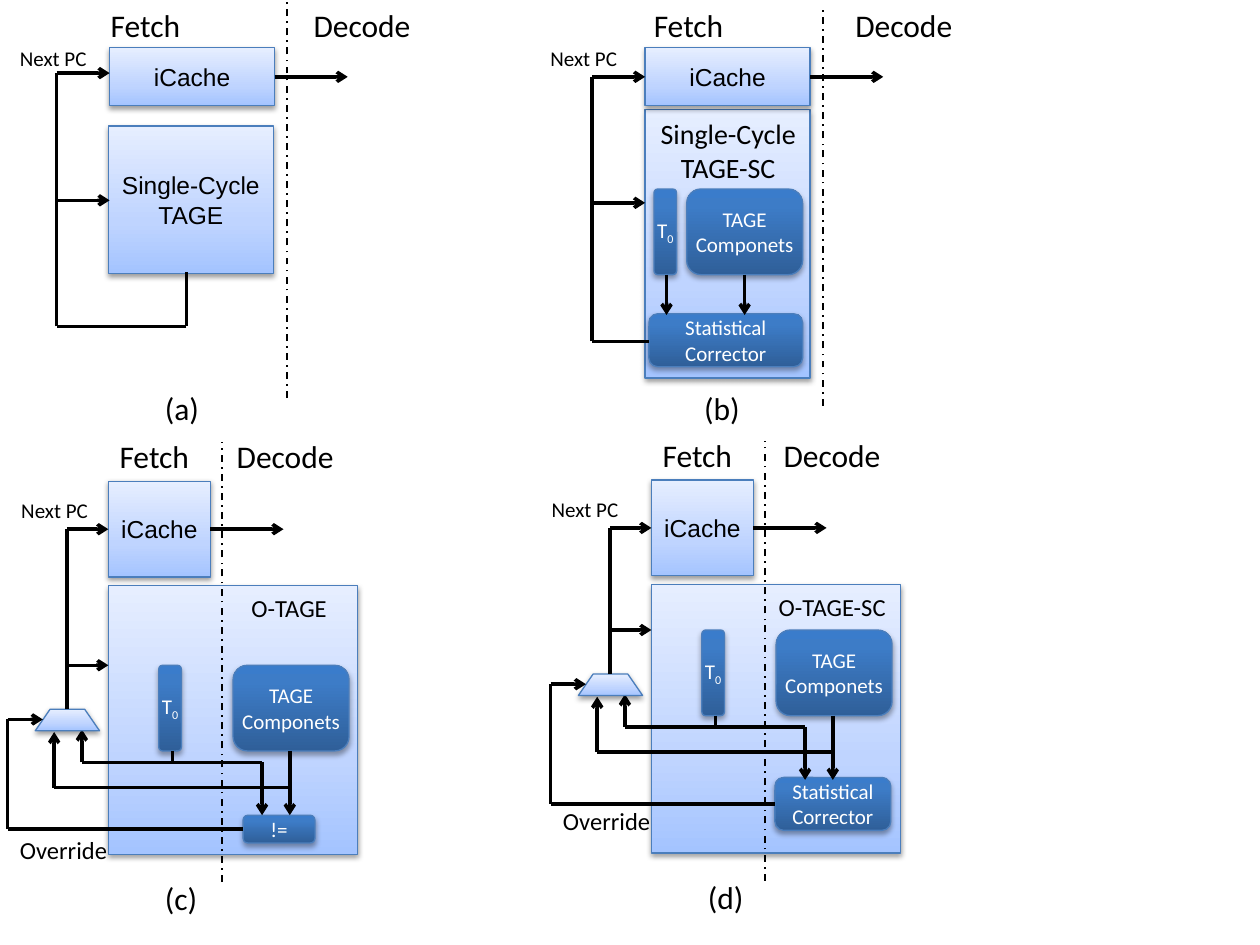
from itertools import pairwise

from lxml import etree
from pptx import Presentation
from pptx import util as u
from pptx.dml.color import RGBColor
from pptx.enum import dml, shapes, text
from pptx.oxml import parse_xml
from pptx.oxml.ns import nsdecls, qn

PALE = {"stops": [(0, "A4C4FF"), (35, "BFD4FF"), (100, "E6EEFF")], "alpha": 38, "drop": 1.6}
DEEP = {"stops": [(0, "2F5F99"), (80, "3D7CC7"), (100, "3A7CCB")], "alpha": 35, "drop": 1.8}
RECT, ROUND, TRAPEZOID = (
    shapes.MSO_SHAPE.RECTANGLE,
    shapes.MSO_SHAPE.ROUNDED_RECTANGLE,
    shapes.MSO_SHAPE.TRAPEZOID,
)

deck = Presentation()
deck.slide_width, deck.slide_height = u.Inches(10), u.Inches(7.5)
slide = deck.slides.add_slide(deck.slide_layouts[6])


def paint(color_format, value):
    color_format.rgb = RGBColor.from_string(value)


def apply(target, values):
    for name, value in values.items():
        setattr(target, name, value)


def inches(*lengths):
    return [u.Inches(round(length, 2)) for length in lengths]


def write(frame, words, size, font="Calibri", color="000000", align=None, sub=None):
    paragraph = frame.paragraphs[0]
    if align:
        paragraph.alignment = align
    for part in filter(None, (words, sub)):
        run = paragraph.add_run()
        run.text = part
        apply(run.font, {"size": u.Pt(size), "name": font})
        paint(run.font.color, color)
        if part == sub:
            run._r.get_or_add_rPr().set("baseline", "-25000")


def label(x, y, w, h, words, size=18, align=None):
    frame = slide.shapes.add_textbox(*inches(x, y, w, h)).text_frame
    apply(frame, {"word_wrap": True, "auto_size": text.MSO_AUTO_SIZE.SHAPE_TO_FIT_TEXT})
    write(frame, words, size, align=align)


def block(x, y, w, h, look=PALE, kind=RECT, words=None, size=14, font="Arial", tight=False, sub=None):
    shape = slide.shapes.add_shape(kind, *inches(x, y, w, h))
    stops = "".join(
        f'<a:gs pos="{pos * 1000}"><a:srgbClr val="{color}"/></a:gs>' for pos, color in look["stops"]
    )
    shape._element.spPr.append(parse_xml(
        f'<a:gradFill {nsdecls("a")} rotWithShape="1"><a:gsLst>{stops}</a:gsLst>'
        '<a:lin ang="16200000" scaled="0"/></a:gradFill>'
    ))
    paint(shape.line.color, "4B7EBC")
    shape.line.width = u.Pt(0.75)
    shape.shadow.inherit = False
    shape._element.spPr.find(qn("a:effectLst")).append(parse_xml(
        f'<a:outerShdw {nsdecls("a")} blurRad="{u.Pt(3.1)}" dist="{u.Pt(look["drop"])}" '
        'dir="5400000" rotWithShape="0"><a:srgbClr val="000000">'
        f'<a:alpha val="{look["alpha"] * 1000}"/></a:srgbClr></a:outerShdw>'
    ))
    if words:
        apply(shape.text_frame, {"word_wrap": True, "vertical_anchor": text.MSO_ANCHOR.MIDDLE})
        if tight:
            apply(shape.text_frame, {"margin_left": 0, "margin_right": 0})
        color = "FFFFFF" if look is DEEP else "000000"
        write(shape.text_frame, words, size, font, color, text.PP_ALIGN.CENTER, sub)
    return shape


def unit(x, y, w, h, words, **options):
    block(x, y, w, h, DEEP, ROUND, words, 12, "Calibri", **options)


def wire(*points, arrow=False, width=2, dash=None):
    for start, end in pairwise(points):
        line = slide.shapes.add_connector(shapes.MSO_CONNECTOR.STRAIGHT, *inches(*start, *end))
        paint(line.line.color, "000000")
        line.line.width = u.Pt(width)
        if dash:
            line.line.dash_style = dash
        if arrow and end == points[-1]:
            etree.SubElement(line.line._get_or_add_ln(), qn("a:tailEnd"), type="arrow")
        etree.SubElement(line._element.spPr, qn("a:effectLst"))


def predictor_parts(x, y, component_x):
    unit(x, y, 0.18, 0.68, "T", tight=True, sub="0")
    unit(component_x, y, 0.92, 0.68, "TAGE Componets", tight=True)


def stage(x, y, cache, fetch, decode, next_pc, divider, caption):
    cache_y, w, h = cache
    block(x, y + cache_y, w, h, words="iCache")
    middle = y + cache_y + h / 2
    wire((x + w, middle), (x + w + 0.58, middle), arrow=True)
    label(x + fetch, y, 0.82, 0.4, "Fetch")
    label(x + decode, y, 0.98, 0.4, "Decode")
    label(x + next_pc[0], y + next_pc[1], 0.82, 0.3, "Next PC", 12)
    divider_x, top, bottom = divider
    wire((x + divider_x, y + bottom), (x + divider_x, y + top), width=1, dash=dml.MSO_LINE.DASH_DOT)
    words, caption_x, caption_y = caption
    label(x + caption_x, y + caption_y, 0.55, 0.4, words)


def single_cycle(x, y, letter, fetch, decode, next_pc, top, caption_x, loop_y, branch_y, exit_points):
    stage(x, y, (0.38, 1.31, 0.46), fetch, decode, (next_pc, 0.31),
          (1.41, top, top + 3.16), (letter, caption_x, 3.04))
    bus = x - 0.42
    exits = [(x + dx, y + dy) for dx, dy in exit_points]
    wire(*exits, (bus, exits[-1][1]), (bus, y + loop_y), (x, y + loop_y), arrow=True)
    wire((bus, y + branch_y), (x, y + branch_y), arrow=True)


def tage_core(x, y):
    block(x, y, 1.31, 1.17, words="Single-Cycle TAGE")


def tage_sc_core(x, y):
    block(x, y, 1.31, 2.13)
    label(x + 0.01, y + 0.01, 1.3, 0.64, "Single-Cycle TAGE-SC", 16, text.PP_ALIGN.CENTER)
    predictor_parts(x + 0.07, y + 0.63, x + 0.33)
    unit(x + 0.03, y + 1.62, 1.22, 0.42, "Statistical Corrector")
    for center in (0.17, 0.79):
        wire((x + center, y + 1.31), (x + center, y + 1.63), arrow=True)


def overriding(x, y, letter, title, decode, next_pc, parts_y, checker, return_y, override_y):
    block(x, y + 1.23, 1.98, 2.13)
    stage(x, y, (0.4, 0.81, 0.76), -0.01, decode, (next_pc, 0.48),
          (0.9, 0.09, 3.58), (letter, 0.35, 3.51))
    label(x + 0.9, y + 1.24, 1.07, 0.34, title, 14, text.PP_ALIGN.CENTER)
    top, bus, far = y + parts_y, x - 0.33, x - 0.8
    predictor_parts(x + 0.4, top, x + 0.99)
    words, dx, dy, w, h = checker
    unit(x + dx, top + dy, w, h, words)

    wire((x + 0.51, top + 0.68), (x + 0.51, top + 0.77))
    for mux_x, check_x, level, start, mux_y in (
        (-0.21, 1.22, 0.77, 0.77, 0.51),
        (-0.43, 1.44, 0.97, 0.68, 0.53),
    ):
        wire((x + check_x, top + start), (x + check_x, top + 1.19), arrow=True)
        wire((x + check_x, top + level), (x + mux_x, top + level), (x + mux_x, top + mux_y), arrow=True)

    mux = block(x - 0.58, top + 0.35, 0.51, 0.17, kind=TRAPEZOID)
    mux.adjustments[0] = 0.688
    wire((bus, top + 0.35), (bus, y + 0.78), (x, y + 0.78), arrow=True)
    wire((bus, top), (x, top), arrow=True)
    wire((x + dx, top + return_y), (far, top + return_y), (far, top + 0.43), (x - 0.52, top + 0.43), arrow=True)
    label(far, top + override_y, 0.93, 0.34, "Override", 14)


tage_core(0.86, 1)
single_cycle(0.87, 0, "(a)", -0.09, 1.52, -0.81, 0, 0.34, 0.58, 1.59, [(0.61, 2.16), (0.61, 2.59)])
tage_sc_core(5.12, 0.87)
single_cycle(5.12, 0, "(b)", -0.03, 1.57, -0.85, 0.06, 0.37, 0.61, 1.61, [(0.03, 2.71)])
overriding(0.86, 3.42, "(c)", "O-TAGE", 0.92, -0.79, 1.86,
           ("!=", 1.07, 1.19, 0.57, 0.22), 1.3, 1.3)
overriding(5.17, 3.41, "(d)", "O-TAGE-SC", 0.95, -0.89, 1.59,
           ("Statistical Corrector", 0.98, 1.17, 0.92, 0.42), 1.38, 1.35)

deck.save("out.pptx")
